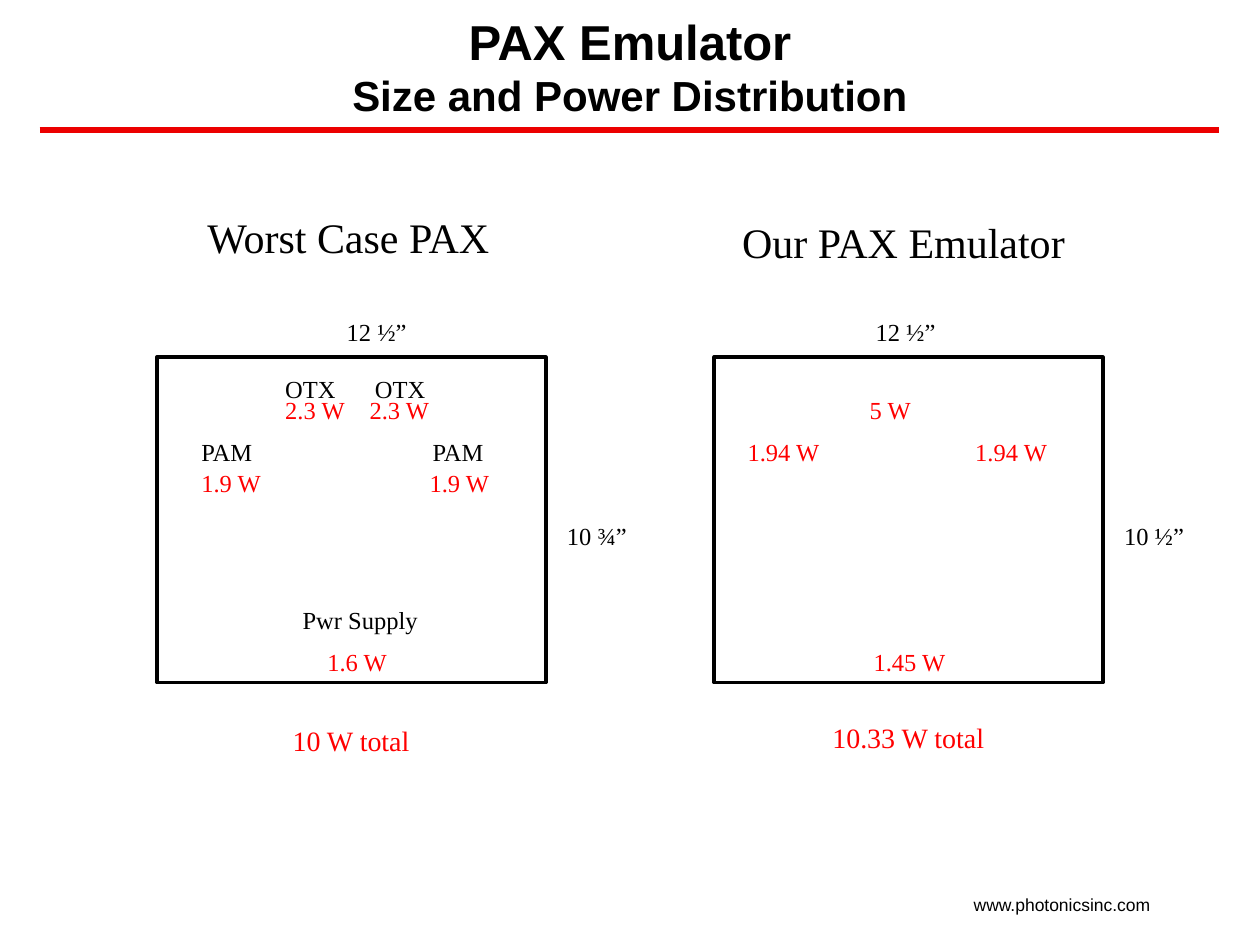
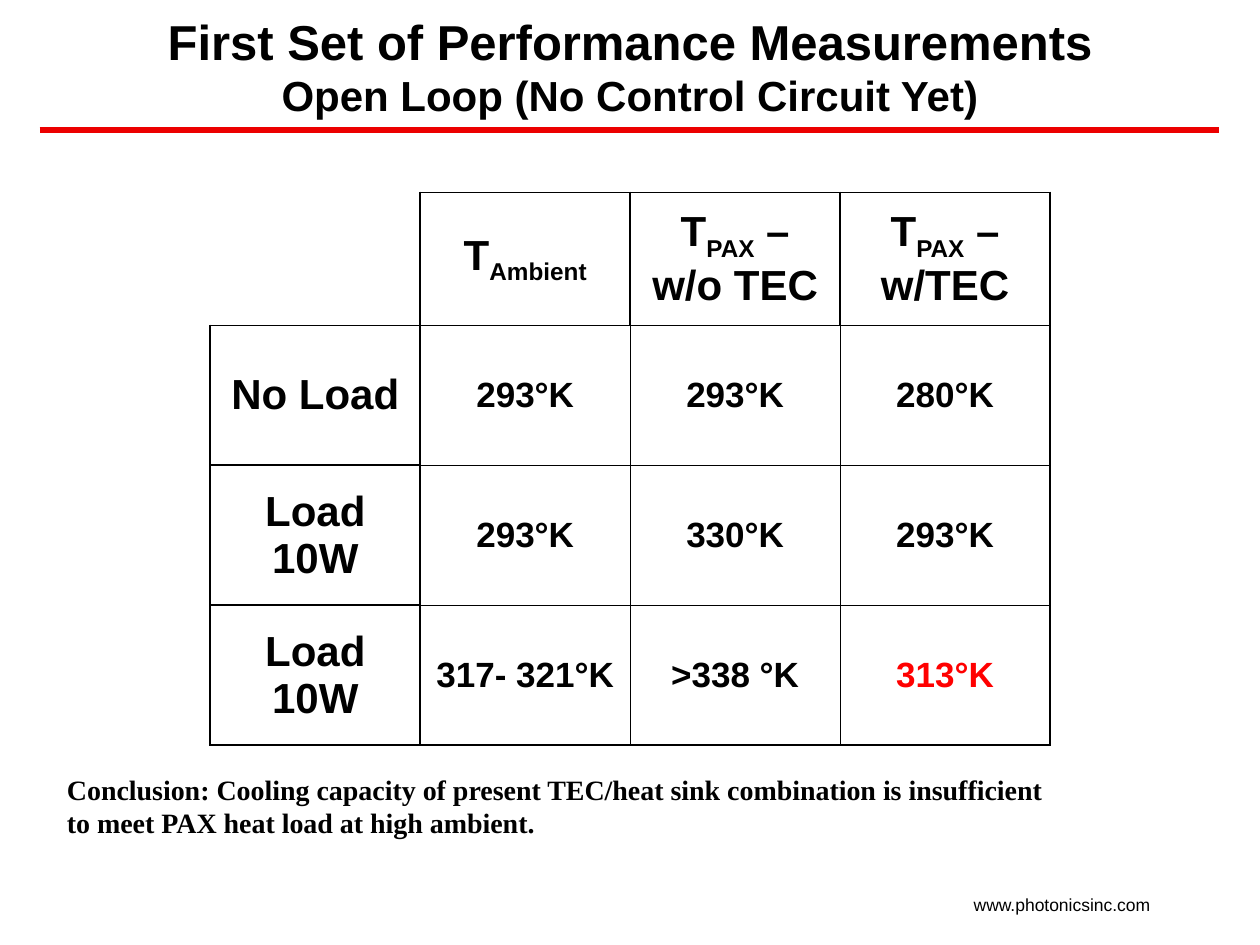
"""Build two slides on the size, power and performance of the PAX emulator."""
from lxml.etree import SubElement
from pptx import Presentation
from pptx.dml.color import RGBColor
from pptx.enum.shapes import MSO_CONNECTOR, MSO_SHAPE
from pptx.enum.text import MSO_ANCHOR, PP_ALIGN
from pptx.oxml import parse_xml
from pptx.oxml.ns import nsdecls, qn
from pptx.util import Cm, Pt

BLACK = RGBColor(0x00, 0x00, 0x00)
WHITE = RGBColor(0xFF, 0xFF, 0xFF)
RED = RGBColor(0xFF, 0x00, 0x00)
RULE_RED = RGBColor(0xEC, 0x00, 0x00)
SANS = "Arial"
SERIF = "Times New Roman"


def write(frame, text, size=14, font=SERIF, color=BLACK, bold=False, align=PP_ALIGN.LEFT):
    """Add one paragraph; parts between underscores become subscripts."""
    paragraph = frame.paragraphs[0]
    if paragraph.runs:
        paragraph = frame.add_paragraph()
    paragraph.alignment = align
    for index, part in enumerate(text.split("_")):
        if not part:
            continue
        run = paragraph.add_run()
        run.text = part
        run.font.size = Pt(size)
        run.font.name = font
        run.font.bold = bold
        run.font.color.rgb = color
        if index % 2:
            run.font._element.set("baseline", "-25000")


def add_label(slide, left, top, width, text, size=14, **text_format):
    """Place unwrapped lines of text in a box as tall as they need."""
    lines = text.split("\n")
    height = 0.25 + len(lines) * size * 0.0423
    frame = slide.shapes.add_textbox(Cm(left), Cm(top), Cm(width), Cm(height)).text_frame
    frame.word_wrap = False
    for line in lines:
        write(frame, line, size=size, **text_format)


presentation = Presentation()
presentation.slide_width = Cm(25.4)
presentation.slide_height = Cm(19.05)

TITLES = [
    ("PAX Emulator", "Size and Power Distribution"),
    ("First Set of Performance Measurements", "Open Loop (No Control Circuit Yet)"),
]
slides = []
for title, subtitle in TITLES:
    slide = presentation.slides.add_slide(presentation.slide_layouts[6])
    slides.append(slide)
    add_label(slide, 19.38, 17.9, 4.1, "www.photonicsinc.com", size=10, font=SANS)
    rule = slide.shapes.add_connector(MSO_CONNECTOR.STRAIGHT, Cm(0.8), Cm(2.62), Cm(24.57), Cm(2.62))
    rule.line.color.rgb = RULE_RED
    rule.line.width = Pt(3)
    SubElement(rule._element.spPr, qn("a:effectLst"))
    frame = slide.shapes.add_textbox(0, 0, presentation.slide_width, Cm(2.65)).text_frame
    frame.word_wrap = True
    frame.vertical_anchor = MSO_ANCHOR.MIDDLE
    for text, size in ((title, 28), (subtitle, 24)):
        write(frame, text, size=size, font=SANS, bold=True, align=PP_ALIGN.CENTER)

power_slide, results_slide = slides

for left in (3.17, 14.4):
    board = power_slide.shapes.add_shape(MSO_SHAPE.RECTANGLE, Cm(left), Cm(7.2), Cm(7.83), Cm(6.56))
    board.shadow.inherit = False
    board.fill.solid()
    board.fill.fore_color.rgb = WHITE
    board.line.color.rgb = BLACK
    board.line.width = Pt(2.25)

HEADINGS = [
    (3.93, 4.14, 6.4, "Worst Case PAX"),
    (14.71, 4.24, 7.2, "Our PAX Emulator"),
]
NAMES_AND_SIZES = [
    (6.74, 6.26, 1.85, "12 ½”"),
    (17.4, 6.26, 1.85, "12 ½”"),
    (11.18, 10.37, 1.85, "10 ¾”"),
    (22.41, 10.37, 1.85, "10 ½”"),
    (5.5, 7.41, 1.6, "OTX"),
    (7.31, 7.41, 1.6, "OTX"),
    (3.81, 8.69, 1.65, "PAM"),
    (8.47, 8.69, 1.65, "PAM"),
    (5.85, 12.07, 3, "Pwr Supply"),
]
POWERS = [
    (5.5, 7.83, 1.85, "2.3 W"),
    (7.2, 7.83, 1.85, "2.3 W"),
    (3.81, 9.31, 1.85, "1.9 W"),
    (8.41, 9.31, 1.85, "1.9 W"),
    (6.35, 12.91, 1.85, "1.6 W"),
    (17.28, 7.83, 1.45, "5 W"),
    (14.82, 8.69, 2.1, "1.94 W"),
    (19.41, 8.69, 2.1, "1.94 W"),
    (17.36, 12.91, 2.1, "1.45 W"),
]
TOTALS = [
    (5.65, 14.46, 3, "10 W total"),
    (16.53, 14.4, 3.7, "10.33 W total"),
]
for labels, size, color in (
    (HEADINGS, 24, BLACK),
    (NAMES_AND_SIZES, 14, BLACK),
    (POWERS, 14, RED),
    (TOTALS, 16, RED),
):
    for label in labels:
        add_label(power_slide, *label, size=size, color=color)

MEASUREMENTS = [
    ["", "T_Ambient_", "T_PAX_ – w/o TEC", "T_PAX_ – w/TEC"],
    ["No Load", "293°K", "293°K", "280°K"],
    ["Load 10W", "293°K", "330°K", "293°K"],
    ["Load 10W", "317- 321°K", ">338 °K", "313°K"],
]
table = results_slide.shapes.add_table(4, 4, Cm(4.24), Cm(3.88), Cm(16.93), Cm(11.15)).table
table.first_row = False
table.horz_banding = False
for index, row in enumerate(table.rows):
    row.height = Cm(2.82 if index else 2.68)

for row, values in enumerate(MEASUREMENTS):
    for column, value in enumerate(values):
        cell = table.cell(row, column)
        cell.vertical_anchor = MSO_ANCHOR.MIDDLE
        heading = row == 0 or column == 0
        thick_sides = {
            "L": heading or column == 1,
            "R": heading or column == 3,
            "T": heading or row == 1,
            "B": heading or row == 3,
        }
        for side, thick in thick_sides.items():
            if not value and side in "LT":
                paint = "<a:noFill/>"
            else:
                paint = f'<a:solidFill><a:srgbClr val="{BLACK}"/></a:solidFill>'
            width = Pt(1.08 if thick else 0.45)
            border = f'<a:ln{side} {nsdecls("a")} w="{width}">{paint}</a:ln{side}>'
            cell._tc.get_or_add_tcPr().append(parse_xml(border))
        cell.fill.background()
        write(
            cell.text_frame,
            value,
            size=24 if heading else 20,
            font=SANS,
            color=RED if value == "313°K" else BLACK,
            bold=True,
            align=PP_ALIGN.CENTER,
        )

CONCLUSION = (
    "Conclusion: Cooling capacity of present TEC/heat sink combination is insufficient\n"
    "to meet PAX heat load at high ambient."
)
add_label(results_slide, 1.1, 15.44, 20.3, CONCLUSION, size=16, bold=True)

presentation.save("out.pptx")
